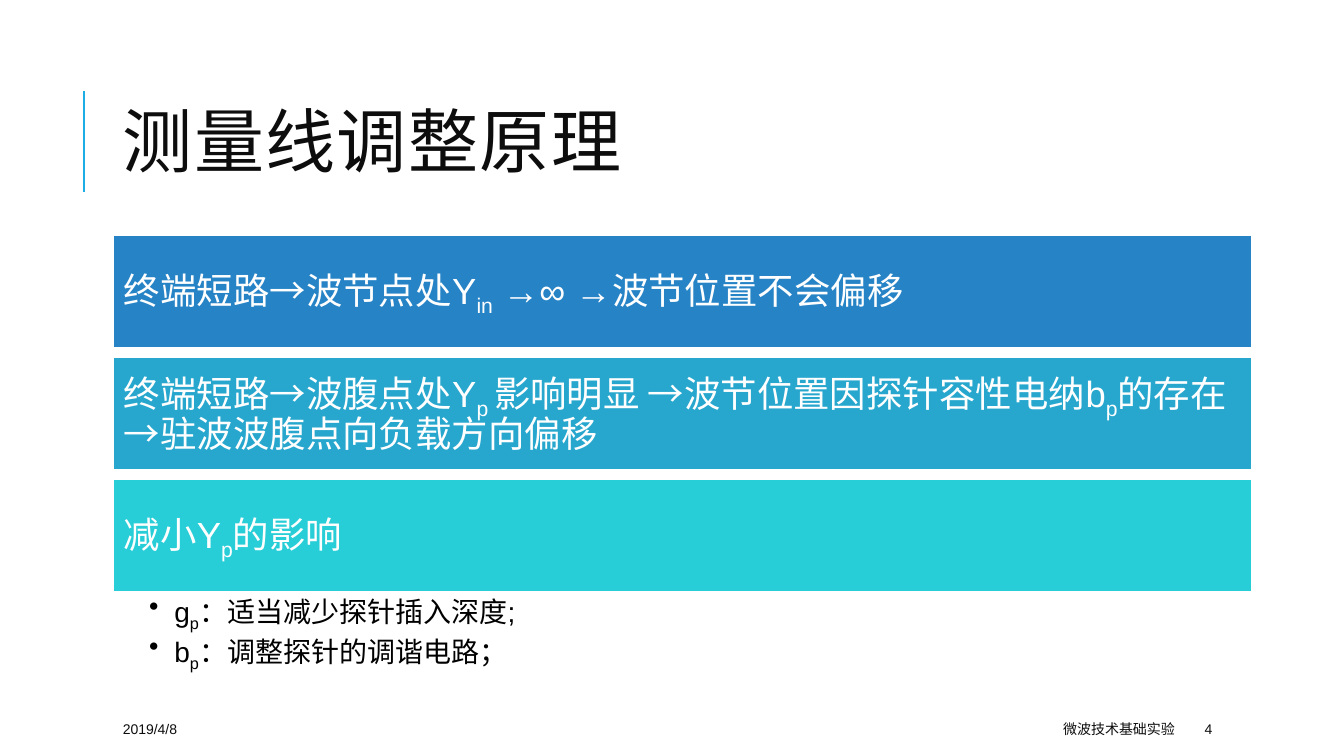
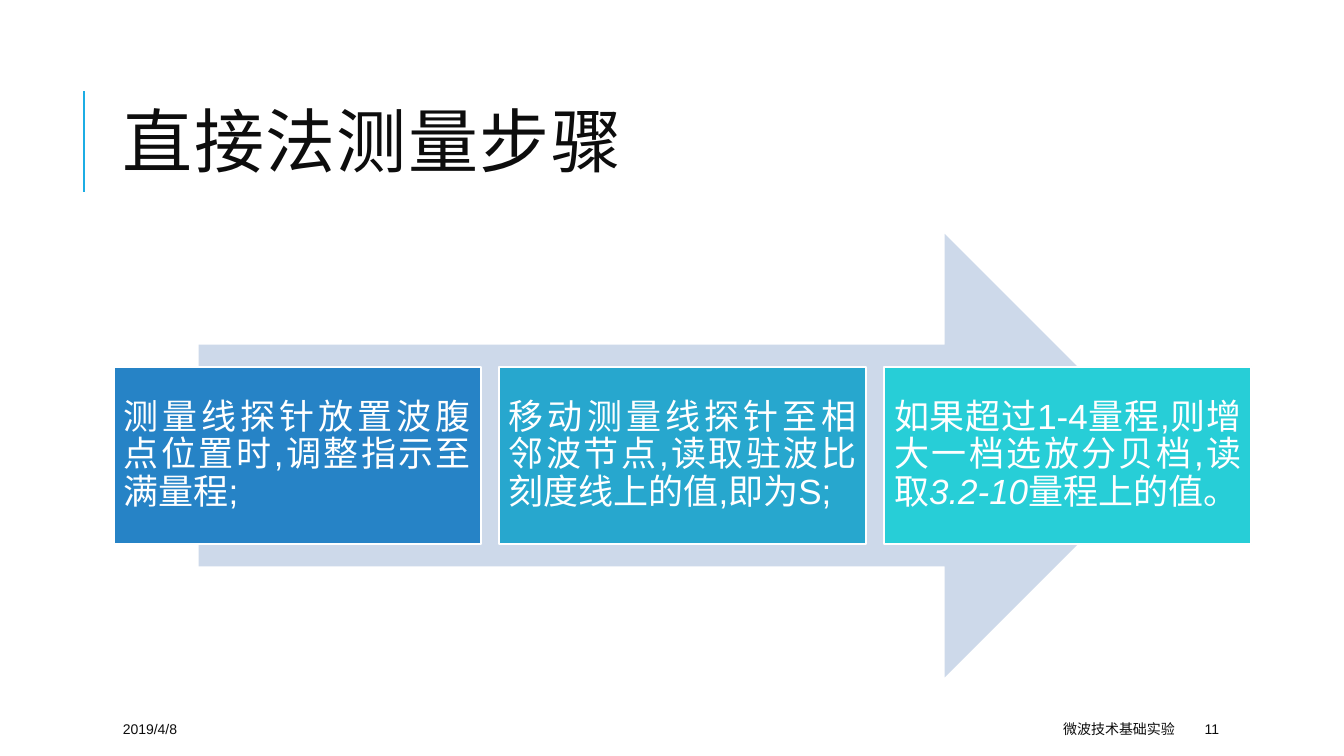
from lxml.etree import SubElement
from pptx import Presentation
from pptx.dml.color import RGBColor
from pptx.enum.shapes import MSO_CONNECTOR, MSO_SHAPE
from pptx.enum.text import MSO_ANCHOR, PP_ALIGN
from pptx.oxml.ns import qn
from pptx.util import Inches, Pt

COLORS = {
    "rule": "1CADE4",
    "ink": "0D0D0D",
    "black": "000000",
    "white": "FFFFFF",
    "arrow": "CDD9EA",
    "blue": "2683C6",
    "sky": "27A7CE",
    "turquoise": "27CED7",
}
STEP_COLORS = ("blue", "sky", "turquoise")
FONT = "Arial"
LEFT, WIDTH = 1.12, 11.3
SUB, ITALIC = "sub", "italic"


class Deck:
    """Holds the shared style and the slide being built."""

    def __init__(self):
        self.prs = Presentation()
        self.prs.slide_width = Inches(13.33)
        self.prs.slide_height = Inches(7.5)
        self.slide = None

    def color(self, name):
        return RGBColor.from_string(COLORS[name])

    def new_slide(self, title, number):
        self.slide = self.prs.slides.add_slide(self.prs.slide_layouts[6])
        self.rule(0.83, 0.9, 1.9)
        heading = self.text((LEFT, 0.64, WIDTH, 1.64), [[title]], 50, line_spacing=0.8)
        for run in heading.paragraphs[0].runs:
            run.font._element.set("spc", "100")
        self.text((LEFT, 7.08, 2.36, 0.3), [["2019/4/8"]], 10)
        self.text((5.3, 7.08, 6.45, 0.3), [["微波技术基础实验"]], 10, align=PP_ALIGN.RIGHT)
        self.text((11.85, 7.08, 1.06, 0.3), [[number]], 10)

    def rule(self, x, top, bottom):
        line = self.slide.shapes.add_connector(
            MSO_CONNECTOR.STRAIGHT, Inches(x), Inches(bottom), Inches(x), Inches(top))
        line.line.color.rgb = self.color("rule")
        line.line.width = Pt(1.5)
        SubElement(line._element.spPr, qn("a:effectLst"))

    def shape(self, kind, box, fill, outline=None):
        shape = self.slide.shapes.add_shape(kind, *map(Inches, box))
        shape.shadow.inherit = False
        shape.fill.solid()
        shape.fill.fore_color.rgb = self.color(fill)
        if outline:
            shape.line.color.rgb = self.color(outline)
            shape.line.width = Pt(1.25)
        else:
            shape.line.fill.background()
        return shape

    def panel(self, box, fill, parts, size, inset, align=PP_ALIGN.LEFT):
        panel = self.shape(MSO_SHAPE.RECTANGLE, box, fill, "white")
        self.set_lines(panel.text_frame, [parts], size, "white", align, 0.9, (inset,) * 4)

    def text(self, box, lines, size, align=PP_ALIGN.LEFT, line_spacing=None):
        frame = self.slide.shapes.add_textbox(*map(Inches, box)).text_frame
        self.set_lines(frame, lines, size, "ink", align, line_spacing)
        return frame

    def bullets(self, box, lines, size):
        frame = self.slide.shapes.add_textbox(*map(Inches, box)).text_frame
        self.set_lines(frame, lines, size, "black", line_spacing=0.9,
                       insets=(0.36, 0.04, 0.2, 0.04), anchor=MSO_ANCHOR.TOP)
        for paragraph in frame.paragraphs:
            paragraph.space_after = Pt(size * 0.2)
            properties = paragraph._p.get_or_add_pPr()
            properties.set("marL", str(Inches(0.25)))
            properties.set("indent", str(-Inches(0.25)))
            SubElement(properties, qn("a:buChar"), char="•")

    def set_lines(self, frame, lines, size, color, align=PP_ALIGN.LEFT, line_spacing=None,
                  insets=(0.1, 0.05, 0.1, 0.05), anchor=MSO_ANCHOR.MIDDLE):
        frame.word_wrap = True
        frame.vertical_anchor = anchor
        (frame.margin_left, frame.margin_top,
         frame.margin_right, frame.margin_bottom) = map(Inches, insets)
        for index, parts in enumerate(lines):
            paragraph = frame.add_paragraph() if index else frame.paragraphs[0]
            paragraph.alignment = align
            if line_spacing:
                paragraph.line_spacing = line_spacing
            for part in parts:
                words, style = (part, None) if isinstance(part, str) else part
                run = paragraph.add_run()
                run.text = words
                run.font.name = FONT
                run.font.size = Pt(size)
                run.font.color.rgb = self.color(color)
                if style == ITALIC:
                    run.font.italic = True
                if style == SUB:
                    run.font._element.set("baseline", "-25000")


def build_principle(deck):
    deck.new_slide("测量线调整原理", "4")
    principles = [
        ["终端短路→波节点处Y", ("in", SUB), " →∞ →波节位置不会偏移"],
        ["终端短路→波腹点处Y", ("p ", SUB), "影响明显 →波节位置因探针容性电纳b",
         ("p", SUB), "的存在→驻波波腹点向负载方向偏移"],
        ["减小Y", ("p", SUB), "的影响"],
    ]
    top, height, gap = 2.33, 1.12, 0.09
    for row, (fill, parts) in enumerate(zip(STEP_COLORS, principles)):
        deck.panel((LEFT, top + row * (height + gap), WIDTH, height), fill, parts, 26, 0.11)
    remedies = [
        ["g", ("p", SUB), "：适当减少探针插入深度;"],
        ["b", ("p", SUB), "：调整探针的调谐电路；"],
    ]
    deck.bullets((LEFT, 5.86, WIDTH, 0.84), remedies, 20)


def build_steps(deck):
    deck.new_slide("直接法测量步骤", "11")
    deck.shape(MSO_SHAPE.RIGHT_ARROW, (1.97, 2.32, 9.6, 4.4), "arrow")
    steps = [
        ["测量线探针放置波腹点位置时,调整指示至满量程;"],
        ["移动测量线探针至相邻波节点,读取驻波比刻度线上的值,即为S;"],
        ["如果超过1-4量程,则增大一档选放分贝档,读取", ("3.2-10", ITALIC), "量程上的值。"],
    ]
    left, width, gap = 1.13, 3.64, 0.18
    for column, (fill, parts) in enumerate(zip(STEP_COLORS, steps)):
        box = (left + column * (width + gap), 3.64, width, 1.76)
        deck.panel(box, fill, parts, 25, 0.1, PP_ALIGN.JUSTIFY)


def main():
    deck = Deck()
    build_principle(deck)
    build_steps(deck)
    deck.prs.save("out.pptx")


if __name__ == "__main__":
    main()
